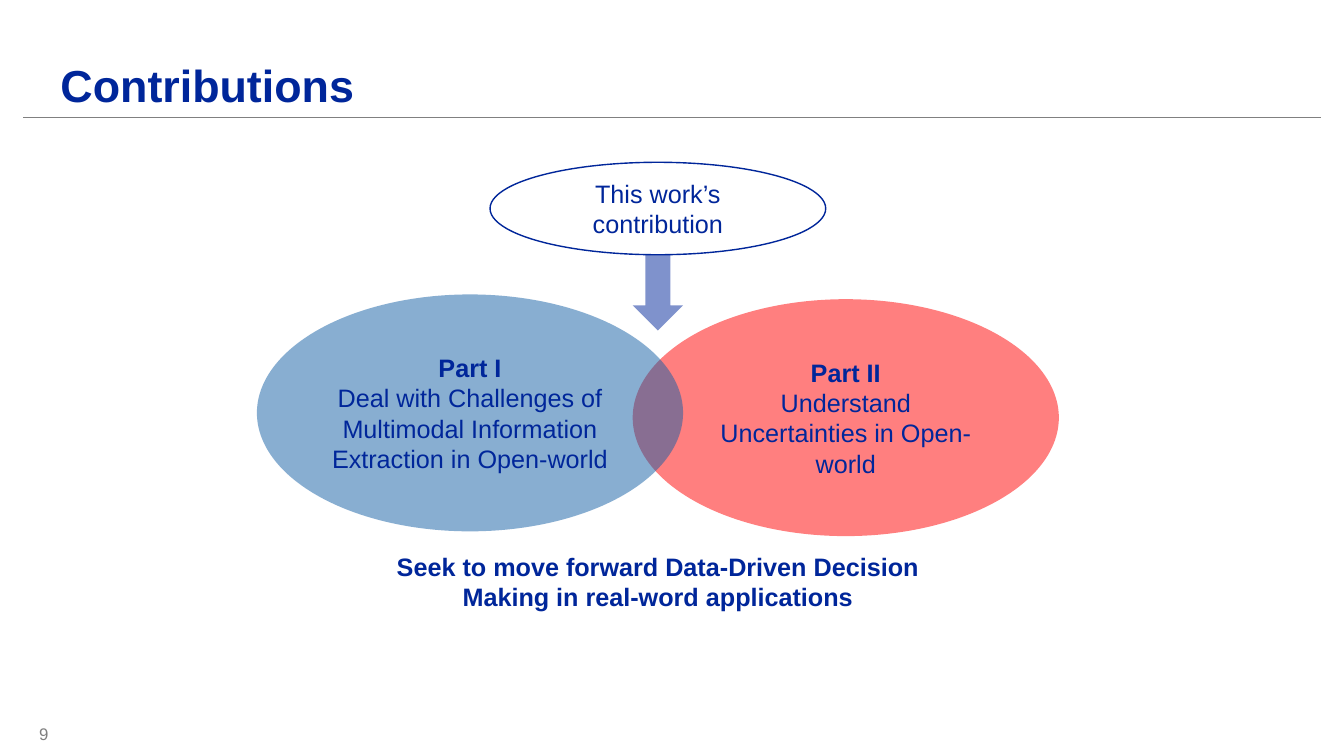
from lxml.etree import SubElement
from pptx import Presentation
from pptx.dml.color import RGBColor
from pptx.enum.shapes import MSO_CONNECTOR, MSO_SHAPE
from pptx.enum.text import MSO_ANCHOR, MSO_AUTO_SIZE, PP_ALIGN
from pptx.oxml.ns import qn
from pptx.util import Cm, Pt

TITLE = "Contributions"
SOURCE = "This work’s contribution"
PART_ONE = ["Part I", "Deal with Challenges of Multimodal Information Extraction in Open-world"]
PART_TWO = ["Part II", "Understand Uncertainties in Open-world"]
GOAL = "Seek to move forward Data-Driven Decision Making in real-word applications"
PAGE_NUMBER = "9"

COLORS = {"navy": "00269A", "blue": "135FA5", "red": "FF0000", "gray": "808080"}
FONT = "Arial"

# Lengths in centimetres; the diagram is symmetric about CENTER
CENTER = 16.58
OVERLAP = 1.27
PART_WIDTH, PART_HEIGHT = 10.74, 5.97
SOURCE_WIDTH, SOURCE_HEIGHT, SOURCE_TOP = 8.46, 2.33, 4.09
GOAL_WIDTH = 13.77


def color(name):
    return RGBColor.from_string(COLORS[name])


def write(shape, lines, size=18, tint="navy", bold_lines=(), align=PP_ALIGN.CENTER,
          anchor=MSO_ANCHOR.MIDDLE):
    frame = shape.text_frame
    frame.word_wrap = True
    frame.vertical_anchor = anchor
    frame.text = "\n".join(lines)
    for index, para in enumerate(frame.paragraphs):
        para.alignment = align
        for span in para.runs:
            span.font.name = FONT
            span.font.size = Pt(size)
            span.font.bold = index in bold_lines
            span.font.color.rgb = color(tint)


def add_figure(page, kind, left, top, width, height, fill=None):
    """Add a half-transparent filled shape, or a navy outline when fill is None."""
    shape = page.shapes.add_shape(kind, Cm(left), Cm(top), Cm(width), Cm(height))
    shape.shadow.inherit = False
    if fill:
        shape.fill.solid()
        shape.fill.fore_color.rgb = color(fill)
        tone = shape._element.spPr.find(qn("a:solidFill"))[0]
        SubElement(tone, qn("a:alpha")).set("val", "50000")
        shape.line.fill.background()
    else:
        shape.fill.background()
        shape.line.color.rgb = color("navy")
        shape.line.width = Pt(1)
    return shape


def add_text(page, left, top, width, height, lines, **style):
    box = page.shapes.add_textbox(Cm(left), Cm(top), Cm(width), Cm(height))
    write(box, lines, **style)


def add_header(page):
    rule = page.shapes.add_connector(MSO_CONNECTOR.STRAIGHT, Cm(0.58), Cm(2.96), Cm(33.3), Cm(2.96))
    rule.line.color.rgb = color("gray")
    rule.line.width = Pt(0.5)
    SubElement(rule._element.spPr, qn("a:effectLst"))

    title = page.shapes.title
    title.left, title.top, title.width, title.height = Cm(1.27), Cm(0.38), Cm(26.57), Cm(2.57)
    write(title, [TITLE], size=32, bold_lines=(0,), align=PP_ALIGN.LEFT, anchor=MSO_ANCHOR.BOTTOM)
    title.text_frame.auto_size = MSO_AUTO_SIZE.NONE
    title.text_frame.paragraphs[0].line_spacing = 0.9


def add_diagram(page):
    source = add_figure(page, MSO_SHAPE.OVAL, CENTER - SOURCE_WIDTH / 2, SOURCE_TOP,
                        SOURCE_WIDTH, SOURCE_HEIGHT)
    write(source, [SOURCE])
    add_figure(page, MSO_SHAPE.DOWN_ARROW, CENTER - OVERLAP / 2, SOURCE_TOP + SOURCE_HEIGHT,
               OVERLAP, 1.91, "navy")

    right_part = CENTER - OVERLAP / 2
    left_part = CENTER + OVERLAP / 2 - PART_WIDTH
    for lines, left, top, fill in [(PART_TWO, right_part, 7.54, "red"),
                                   (PART_ONE, left_part, 7.42, "blue")]:
        part = add_figure(page, MSO_SHAPE.OVAL, left, top, PART_WIDTH, PART_HEIGHT, fill)
        write(part, lines, bold_lines=(0,))

    add_text(page, CENTER - GOAL_WIDTH / 2, 13.77, GOAL_WIDTH, 1.8, [GOAL],
             bold_lines=(0,), anchor=MSO_ANCHOR.TOP)


def main():
    deck = Presentation()
    deck.slide_width, deck.slide_height = Cm(33.87), Cm(19.05)
    page = deck.slides.add_slide(deck.slide_layouts[5])
    add_header(page)
    add_diagram(page)
    add_text(page, 0.74, 17.98, 7.62, 1.02, [PAGE_NUMBER], size=12, tint="gray",
             align=PP_ALIGN.LEFT)
    deck.save("out.pptx")


if __name__ == "__main__":
    main()
